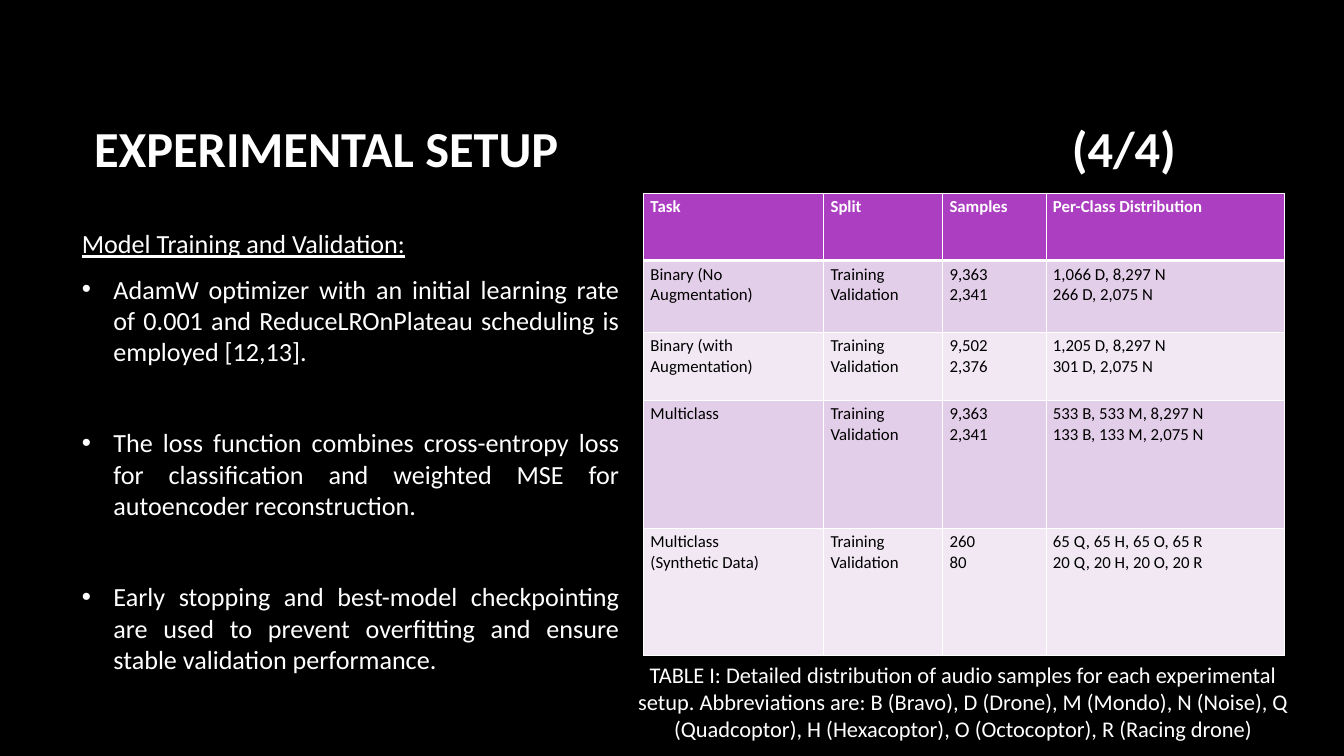
from pptx import Presentation
from pptx.dml.color import RGBColor
from pptx.enum.text import MSO_ANCHOR, PP_ALIGN
from pptx.oxml import parse_xml
from pptx.oxml.ns import nsdecls
from pptx.util import Inches, Pt

MIDDLE, TOP = MSO_ANCHOR.MIDDLE, MSO_ANCHOR.TOP
CENTER, JUSTIFY = PP_ALIGN.CENTER, PP_ALIGN.JUSTIFY
WHITE, BLACK, PURPLE = "FFFFFF", "000000", "AC3EC1"
BANDS = ["E3CEE9", "F1E8F4"]

HEADS = ["Task", "Split", "Samples", "Per-Class Distribution"]
SPLIT = "Training\nValidation"
TASKS = [
    ("Binary (No Augmentation)", "9,363\n2,341", "1,066 D, 8,297 N\n266 D, 2,075 N"),
    ("Binary (with Augmentation)", "9,502\n2,376", "1,205 D, 8,297 N\n301 D, 2,075 N"),
    ("Multiclass", "9,363\n2,341", "533 B, 533 M, 8,297 N\n133 B, 133 M, 2,075 N"),
    ("Multiclass\n(Synthetic Data)", "260\n80",
     "65 Q, 65 H, 65 O, 65 R\n20 Q, 20 H, 20 O, 20 R"),
]
COLS = [2.68, 1.77, 1.54, 3.54]
ROWS = [1, 1.07, 1.01, 1.9, 1.9]

POINTS = [
    "AdamW optimizer with an initial learning rate of 0.001 and "
    "ReduceLROnPlateau scheduling is employed [12,13].",
    "The loss function combines cross-entropy loss for classification and "
    "weighted MSE for autoencoder reconstruction.",
    "Early stopping and best-model checkpointing are used to prevent "
    "overfitting and ensure stable validation performance.",
]
NOTE = ("TABLE I: Detailed distribution of audio samples for each experimental "
        "setup. Abbreviations are: B (Bravo), D (Drone), M (Mondo), N (Noise), "
        "Q (Quadcoptor), H (Hexacoptor), O (Octocoptor), R (Racing drone)")


def color(code):
    return RGBColor.from_string(code)


def style(para, size, code=WHITE, **form):
    for name, value in {"name": "Calibri", "size": Pt(size), **form}.items():
        setattr(para.font, name, value)
    para.font.color.rgb = color(code)


def add_box(slide, x, y, w, h, anchor, **form):
    frame = slide.shapes.add_textbox(*map(Inches, (x, y, w, h))).text_frame
    form = {"word_wrap": True, "vertical_anchor": anchor, **form}
    for name, value in form.items():
        setattr(frame, name, value)
    return frame


def add_tab(para, pos):
    para._p.get_or_add_pPr().append(parse_xml(
        f'<a:tabLst {nsdecls("a")}><a:tab pos="{Inches(pos)}" algn="l"/></a:tabLst>'))


def add_bullet(para, indent):
    props = para._p.get_or_add_pPr()
    props.set("marL", str(Inches(indent)))
    props.set("indent", str(-Inches(indent)))
    for part in (f'<a:buClr {nsdecls("a")}><a:srgbClr val="{WHITE}"/></a:buClr>',
                 f'<a:buFont {nsdecls("a")} typeface="Arial"/>',
                 f'<a:buChar {nsdecls("a")} char="•"/>'):
        props.append(parse_xml(part))


def add_edges(cell, top, bottom):
    props = cell._tc.get_or_add_tcPr()
    for side, width in zip("LRTB", (1, 1, top, bottom)):
        props.append(parse_xml(
            f'<a:ln{side} {nsdecls("a")} w="{Pt(width)}"><a:solidFill>'
            f'<a:srgbClr val="{WHITE}"/></a:solidFill></a:ln{side}>'))


def add_title(slide):
    frame = add_box(slide, 1.13, 1, 16.62, 2.39, MIDDLE, margin_left=Inches(0.27))
    para = frame.paragraphs[0]
    para.text = "EXPERIMENTAL SETUP\t(4/4)"
    add_tab(para, 14.55)
    style(para, 54, bold=True)


def add_points(slide):
    frame = add_box(slide, 1.12, 3.51, 8.19, 7.06, MIDDLE, margin_bottom=Inches(0.7))
    head = frame.paragraphs[0]
    head.text = "Model Training and Validation:"
    head.alignment, head.space_after = JUSTIFY, Pt(15)
    style(head, 28, underline=True)
    for text in POINTS:
        para = frame.add_paragraph()
        para.text = text
        para.alignment = JUSTIFY
        para.space_after = Pt(0 if text == POINTS[-1] else 64)
        add_bullet(para, 0.47)
        style(para, 28)


def add_grid(slide):
    data = [HEADS] + [(task, SPLIT, count, share) for task, count, share in TASKS]
    table = slide.shapes.add_table(
        len(ROWS), len(COLS), Inches(9.58), Inches(2.88),
        Inches(sum(COLS)), Inches(sum(ROWS))).table
    for col, width in zip(table.columns, COLS):
        col.width = Inches(width)
    for i, (row, height) in enumerate(zip(table.rows, ROWS)):
        row.height = Inches(height)
        head = i == 0
        for cell, text in zip(row.cells, data[i]):
            cell.text = text
            cell.vertical_anchor = TOP
            add_edges(cell, 3 if i == 1 else 1, 3 if head else 1)
            cell.fill.solid()
            cell.fill.fore_color.rgb = color(PURPLE if head else BANDS[(i - 1) % 2])
            for para in cell.text_frame.paragraphs:
                style(para, 18, WHITE if head else BLACK, bold=head)


def add_note(slide):
    para = add_box(slide, 9.33, 9.79, 10, 1.31, TOP).paragraphs[0]
    para.text = NOTE
    para.alignment = CENTER
    style(para, 24)


def main():
    deck = Presentation()
    deck.slide_width, deck.slide_height = Inches(20), Inches(11.25)
    slide = deck.slides.add_slide(deck.slide_layouts[6])
    slide.background.fill.solid()
    slide.background.fill.fore_color.rgb = color(BLACK)

    # Title and page count
    add_title(slide)
    # Training notes on the left
    add_points(slide)
    # Sample table with its caption
    add_grid(slide)
    add_note(slide)

    deck.save("out.pptx")


if __name__ == "__main__":
    main()
